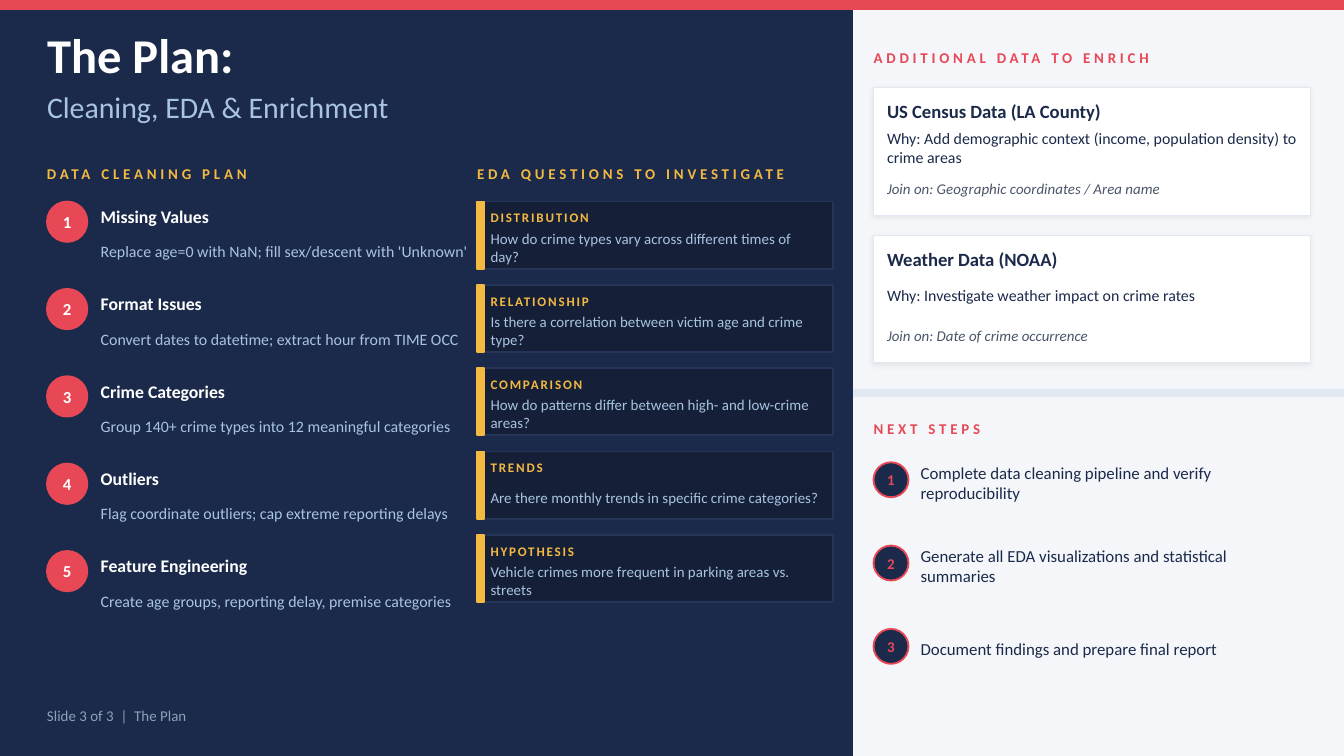
from dataclasses import dataclass

from lxml import etree
from pptx import Presentation
from pptx.dml.color import RGBColor
from pptx.enum.shapes import MSO_SHAPE
from pptx.enum.text import MSO_ANCHOR, MSO_AUTO_SIZE, PP_ALIGN
from pptx.oxml.ns import qn
from pptx.util import Inches, Pt

RECTANGLE, OVAL = MSO_SHAPE.RECTANGLE, MSO_SHAPE.OVAL
MIDDLE, NO_FIT = MSO_ANCHOR.MIDDLE, MSO_AUTO_SIZE.NONE
LEFT, CENTER = PP_ALIGN.LEFT, PP_ALIGN.CENTER

COLUMNS, ROWS = 1000, 562.5
CELL = Inches(10) / COLUMNS

NAVY, DEEP_NAVY, EDGE_NAVY = "1B2A4A", "152038", "243558"
RED, GOLD, SKY, SLATE = "E84855", "F4B942", "A8C4E0", "8DA1B9"
WHITE, PALE, RULE, GREY = "FFFFFF", "F4F6FA", "E2E8F2", "4A5568"

CLEANING = [
    ("Missing Values", "Replace age=0 with NaN; fill sex/descent with 'Unknown'"),
    ("Format Issues", "Convert dates to datetime; extract hour from TIME OCC"),
    ("Crime Categories", "Group 140+ crime types into 12 meaningful categories"),
    ("Outliers", "Flag coordinate outliers; cap extreme reporting delays"),
    ("Feature Engineering", "Create age groups, reporting delay, premise categories"),
]
QUESTIONS = [
    ("DISTRIBUTION", "How do crime types vary across different times of day?"),
    ("RELATIONSHIP", "Is there a correlation between victim age and crime type?"),
    ("COMPARISON", "How do patterns differ between high- and low-crime areas?"),
    ("TRENDS", "Are there monthly trends in specific crime categories?"),
    ("HYPOTHESIS", "Vehicle crimes more frequent in parking areas vs. streets"),
]
SOURCES = [
    ("US Census Data (LA County)",
     "Why: Add demographic context (income, population density) to crime areas",
     "Join on: Geographic coordinates / Area name"),
    ("Weather Data (NOAA)",
     "Why: Investigate weather impact on crime rates",
     "Join on: Date of crime occurrence"),
]
STEPS = [
    "Complete data cleaning pipeline and verify reproducibility",
    "Generate all EDA visualizations and statistical summaries",
    "Document findings and prepare final report",
]


@dataclass
class Box:
    left: float
    top: float
    width: float
    height: float

    def area(self, left, top, width, height):
        return Box(self.left + left, self.top + top, width, height)

    def stack(self, top, height, pitch, items):
        for index, item in enumerate(items):
            yield index + 1, item, self.area(0, top + index * pitch, self.width, height)

    def lengths(self):
        return [round(n * CELL) for n in (self.left, self.top, self.width, self.height)]


def colour(value):
    return RGBColor.from_string(value)


def write(shape, text, size, tint, bold=False, italic=False, spacing=0, align=LEFT):
    frame = shape.text_frame
    frame.word_wrap = True
    frame.auto_size = NO_FIT
    frame.vertical_anchor = MIDDLE
    frame.margin_left = frame.margin_right = frame.margin_top = frame.margin_bottom = 0
    frame.text = text
    para = frame.paragraphs[0]
    para.alignment = align
    font = para.font
    font.name, font.size, font.bold, font.italic = "Calibri", Pt(size), bold, italic
    font.color.rgb = colour(tint)
    if spacing:
        properties = para._p.get_or_add_pPr().get_or_add_defRPr()
        properties.set("spc", str(spacing * 100))


def add_text(page, box, text, size, tint, **style):
    write(page.shapes.add_textbox(*box.lengths()), text, size, tint, **style)


def add_block(page, box, fill, line=None, weight=1, kind=RECTANGLE):
    shape = page.shapes.add_shape(kind, *box.lengths())
    shape.shadow.inherit = False
    shape.fill.solid()
    shape.fill.fore_color.rgb = colour(fill)
    shape.line.color.rgb = colour(line or fill)
    shape.line.width = Pt(weight)
    return shape


def add_badge(page, box, number, size, fill, tint):
    badge = add_block(page, box, fill, RED, kind=OVAL)
    write(badge, str(number), size, tint, bold=True, align=CENTER)
    badge.text_frame.word_wrap = False


def add_heading(page, box, text, tint):
    add_text(page, box, text, 8, tint, bold=True, spacing=2)


def add_soft_shadow(shape):
    effects = shape._element.spPr.find(qn("a:effectLst"))
    shadow = etree.SubElement(
        effects, qn("a:outerShdw"), blurRad=str(Pt(3)), dist=str(Pt(1)),
        dir=str(135 * 60000), algn="bl", rotWithShape="0")
    tint = etree.SubElement(shadow, qn("a:srgbClr"), val="000000")
    etree.SubElement(tint, qn("a:alpha"), val="7000")


def place_backdrop(page, box):
    page.background.fill.solid()
    page.background.fill.fore_color.rgb = colour(NAVY)
    add_block(page, box.area(635, 0, 365, box.height), PALE)
    add_block(page, box.area(0, 0, box.width, 7), RED)


def place_titles(page, box):
    title, subtitle = page.placeholders
    for holder, area in ((title, box.area(0, 0, box.width, 45)),
                         (subtitle, box.area(0, 42, box.width, 38))):
        holder.left, holder.top, holder.width, holder.height = area.lengths()
    write(title, "The Plan:", 26, WHITE, bold=True)
    write(subtitle, "Cleaning, EDA & Enrichment", 16, SKY)


def place_cleaning(page, box):
    add_heading(page, box.area(0, 0, 300, 28), "DATA CLEANING PLAN", GOLD)
    for number, (name, detail), row in box.stack(35, 51, 65, CLEANING):
        add_badge(page, row.area(0, 0, 30, 30), number, 9, RED, WHITE)
        add_text(page, row.area(40, 0, 270, 22), name, 9.5, WHITE, bold=True)
        add_text(page, row.area(40, 23, 280, 28), detail, 8.5, SKY)


def place_questions(page, box):
    add_heading(page, box.area(0, 0, 260, 28), "EDA QUESTIONS TO INVESTIGATE", GOLD)
    for _, (topic, question), card in box.stack(35, 50, 62, QUESTIONS):
        add_block(page, card, DEEP_NAVY, EDGE_NAVY)
        add_block(page, card.area(0, 0, 5, card.height), GOLD)
        add_text(page, card.area(10, 3, 245, 18), topic, 7, GOLD, bold=True, spacing=1)
        add_text(page, card.area(10, 22, 245, 24), question, 8, SKY)


def place_sources(page, box):
    add_heading(page, box.area(0, 0, 320, 25), "ADDITIONAL DATA TO ENRICH", RED)
    for _, (name, reason, join), card in box.stack(35, 95, 110, SOURCES):
        add_soft_shadow(add_block(page, card, WHITE, RULE, 0.5))
        add_text(page, card.area(10, 6, 305, 24), name, 10, NAVY, bold=True)
        add_text(page, card.area(10, 30, 305, 30), reason, 8.5, NAVY)
        add_text(page, card.area(10, 63, 305, 24), join, 8, GREY, italic=True)


def place_steps(page, box):
    add_block(page, box.area(-15, -15, 365, 5), RULE)
    add_heading(page, box.area(0, 0, 320, 28), "NEXT STEPS", RED)
    for number, step, row in box.stack(35, 38, 62, STEPS):
        add_badge(page, row.area(0, 4, 26, 26), number, 8, NAVY, RED)
        add_text(page, row.area(35, 0, 280, 38), step, 9, NAVY)


def main():
    deck = Presentation()
    deck.slide_width, deck.slide_height = round(COLUMNS * CELL), round(ROWS * CELL)
    page = deck.slides.add_slide(deck.slide_layouts[0])
    place_backdrop(page, Box(0, 0, COLUMNS, ROWS))
    place_titles(page, Box(35, 18, 580, 80))
    place_cleaning(page, Box(35, 115, 320, 346))
    place_questions(page, Box(355, 115, 265, 333))
    place_sources(page, Box(650, 30, 325, 240))
    place_steps(page, Box(650, 305, 325, 197))
    add_text(page, Box(35, 515, 500, 35), "Slide 3 of 3  |  The Plan", 8, SLATE)
    deck.save("out.pptx")


if __name__ == "__main__":
    main()
